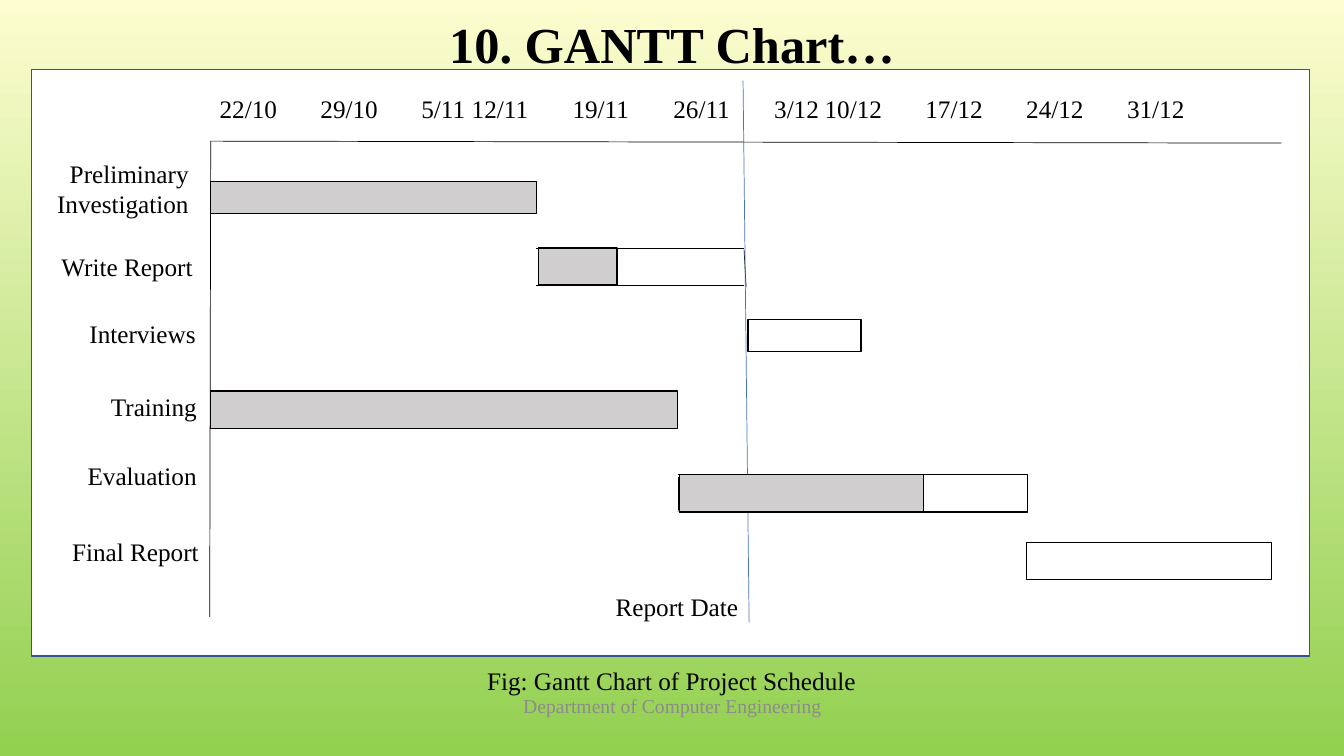
from lxml import etree
from pptx import Presentation, util as u
from pptx.dml.color import RGBColor
from pptx.enum import shapes, text
from pptx.oxml.ns import qn

COLOURS = {"sky": "FDFDCF", "grass": "92D050", "ink": "000000", "muted": "8C8C8C",
           "paper": "FFFFFF", "frame": "325491", "done": "D0CECE", "report": "4472C4"}
FONT = "Times New Roman"
TITLE = "10. GANTT Chart…"
CAPTION = "Fig: Gantt Chart of Project Schedule"
FOOTER = "Department of Computer Engineering"
REPORT_DATE = "Report Date"
WEEKS = ["22/10", "29/10", "5/11", "12/11", "19/11", "26/11",
         "3/12", "10/12", "17/12", "24/12", "31/12"]

# The grid has one column of one inch per week, counted from the vertical axis.
AXIS_X, AXIS_Y = 2.09, 1.4
LABEL_W, LINE_H = 1.55, 0.4

# label, (right edge, top, height) of label, (top, height) of bar, [(first week, last week, state)]
TASKS = [
    ("Preliminary Investigation", (1.97, 1.52, 0.71), (1.8, 0.32), [(0, 3.23, "done")]),
    ("Write Report", (2.01, 2.44, LINE_H), (2.46, 0.37), [(3.25, 4.03, "done")]),
    ("Interviews", (2.04, 3.11, LINE_H), (3.17, 0.32), [(5.33, 6.45, "paper")]),
    ("Training", (2.05, 3.83, LINE_H), (3.88, 0.37), [(0, 4.63, "done")]),
    ("Evaluation", (2.05, 4.52, LINE_H), (4.71, 0.37),
     [(4.65, 8.1, "paper"), (4.65, 7.07, "done")]),
    ("Final Report", (2.07, 5.27, LINE_H), (5.38, 0.37), [(8.09, 10.52, "paper")]),
]
# start x, start y, end x, end y, colour
AXES = [(AXIS_X, AXIS_Y, 2.08, 6.12, "ink"), (AXIS_X, AXIS_Y, 12.71, 1.42, "ink")]
OUTLINES = [
    (5.32, 2.46, 7.38, 2.46, "ink"), (5.32, 2.83, 7.38, 2.83, "ink"),
    (7.38, 2.48, 7.4, 2.85, "ink"),
    (6.72, 4.71, 10.18, 4.71, "ink"), (6.72, 5.07, 10.18, 5.08, "ink"),
    (6.73, 4.73, 6.73, 5.06, "ink"),
]
REPORT_LINE = (7.37, 0.8, 7.43, 6.18, "report")
LEFT, CENTRE, RIGHT = text.PP_ALIGN.LEFT, text.PP_ALIGN.CENTER, text.PP_ALIGN.RIGHT


def rgb(name):
    return RGBColor.from_string(COLOURS[name])


def inches(*lengths):
    return [u.Inches(length) for length in lengths]


def write(holder, wording, align, size=18, colour="ink", bold=False,
          anchor=text.MSO_ANCHOR.TOP, spacing=1.0):
    frame = holder.text_frame
    frame.text = wording
    frame_format = {"word_wrap": True, "auto_size": text.MSO_AUTO_SIZE.NONE,
                    "vertical_anchor": anchor}
    paragraph = frame.paragraphs[0]
    paragraph_format = {"alignment": align, "line_spacing": spacing, "space_before": u.Pt(0)}
    font = paragraph.runs[0].font
    font_format = {"name": FONT, "size": u.Pt(size), "bold": bold}
    for part, values in ((frame, frame_format), (paragraph, paragraph_format),
                         (font, font_format)):
        for key, value in values.items():
            setattr(part, key, value)
    font.color.rgb = rgb(colour)


def move(holder, *box):
    for key, value in zip(("left", "top", "width", "height"), inches(*box)):
        setattr(holder, key, value)


def add_label(slide, wording, box, align, **style):
    write(slide.shapes.add_textbox(*inches(*box)), wording, align, **style)


def add_box(slide, box, fill, line="ink"):
    rectangle = slide.shapes.add_shape(shapes.MSO_SHAPE.RECTANGLE, *inches(*box))
    rectangle.shadow.inherit = False
    rectangle.fill.solid()
    rectangle.fill.fore_color.rgb = rgb(fill)
    rectangle.line.color.rgb = rgb(line)
    rectangle.line.width = u.Pt(1)


def add_line(slide, *ends, colour):
    line = slide.shapes.add_connector(shapes.MSO_CONNECTOR.STRAIGHT, *inches(*ends))
    line.line.color.rgb = rgb(colour)
    line.line.width = u.Pt(0.5)
    etree.SubElement(line._element.spPr, qn("a:effectLst"))


def paint_background(slide):
    fill = slide.background.fill
    fill.gradient()
    fill.gradient_angle = 270
    for stop, name, position in zip(fill.gradient_stops, ("sky", "grass"), (0, 1)):
        stop.color.rgb = rgb(name)
        stop.position = position


def main():
    deck = Presentation()
    deck.slide_width, deck.slide_height = inches(13.33, 7.5)
    slide = deck.slides.add_slide(deck.slide_layouts[0])
    paint_background(slide)

    title, caption = slide.placeholders
    move(title, 0.39, 0.07, 12.55, 0.72)
    write(title, TITLE, CENTRE, size=36, bold=True,
          anchor=text.MSO_ANCHOR.BOTTOM, spacing=0.9)
    move(caption, 4.44, 6.55, 4.44, LINE_H)
    write(caption, CAPTION, CENTRE)
    add_label(slide, FOOTER, (4.42, 6.66, 4.5, 0.69), CENTRE, size=14, colour="muted",
              anchor=text.MSO_ANCHOR.MIDDLE)

    add_box(slide, (0.31, 0.69, 12.68, 5.82), "paper", "frame")
    add_label(slide, "\t".join(WEEKS), (2.08, 0.88, 10.85, LINE_H), LEFT)
    for *ends, colour in AXES + OUTLINES + [REPORT_LINE]:
        add_line(slide, *ends, colour=colour)

    for name, (right, top, height), (bar_top, bar_height), bars in TASKS:
        add_label(slide, name, (right - LABEL_W, top, LABEL_W, height), RIGHT)
        for first, last, state in bars:
            add_box(slide, (AXIS_X + first, bar_top, last - first, bar_height), state)
    add_label(slide, REPORT_DATE, (5.87, 5.82, LABEL_W, LINE_H), RIGHT)

    deck.save("out.pptx")


if __name__ == "__main__":
    main()
